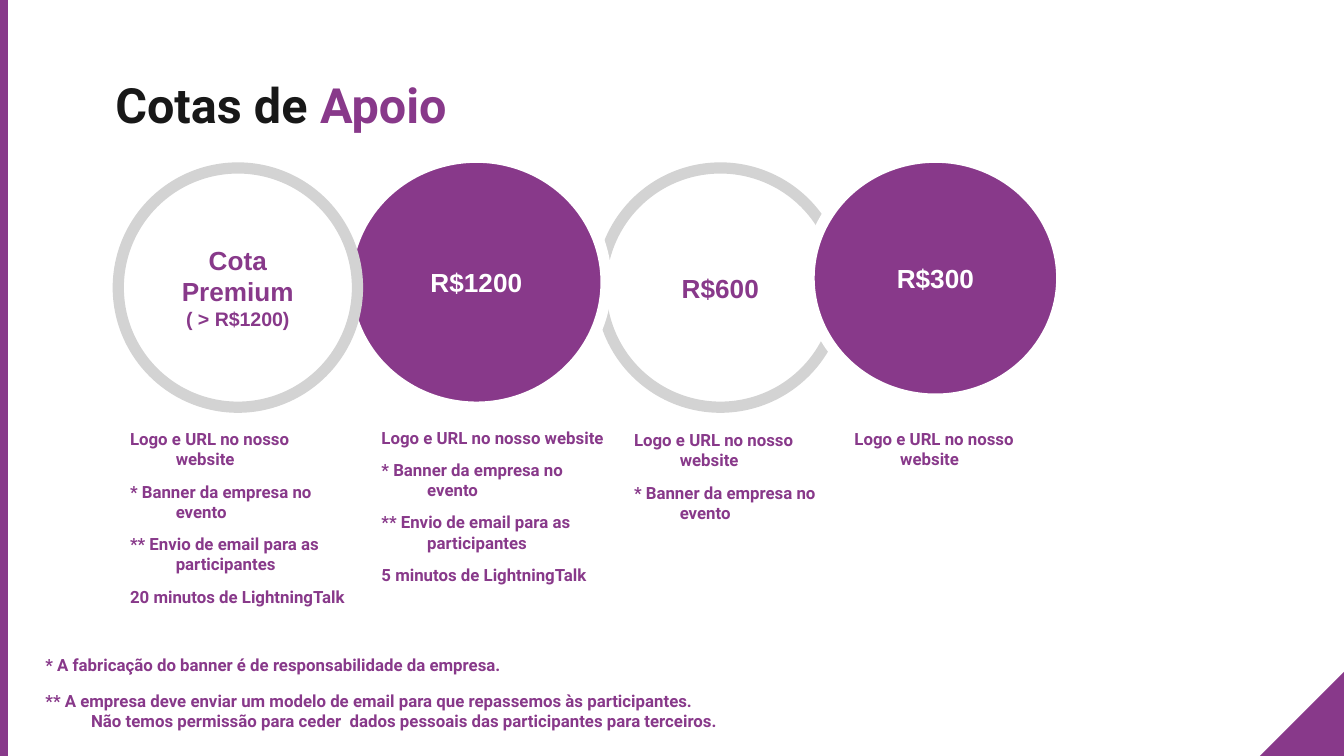
from pptx import Presentation
from pptx.dml.color import RGBColor
from pptx.enum.shapes import MSO_SHAPE
from pptx.enum.text import MSO_ANCHOR, PP_ALIGN
from pptx.util import Inches, Pt

COLORS = {"purple": "88398A", "ink": "181818", "ring": "D3D3D3", "white": "FFFFFF"}

SLIDE_WIDTH = 10
SLIDE_HEIGHT = SLIDE_WIDTH * 9 / 16
CORNER_SIDE = SLIDE_HEIGHT - 5

TITLE = [("Cotas de ", "ink"), ("Apoio", "purple")]

CIRCLES = [
    ((4.47, 1.25, 1.78, 1.78), "light", [("R$600", 14)]),
    ((2.58, 1.17, 1.93, 1.86), "dark", [("R$1200", 14)]),
    ((6.02, 1.17, 1.88, 1.80), "dark", [("R$300", 14)]),
    ((0.88, 1.25, 1.78, 1.78), "light", [("Cota Premium", 14), ("( > R$1200)", 10.5)]),
]
CIRCLE_STYLES = {"light": ("white", "ring", "purple"), "dark": ("purple", "white", "white")}

SHARED_BENEFITS = [
    "Logo e URL no nosso website",
    "* Banner da empresa no evento",
    "** Envio de email para as participantes",
]
BENEFITS = [
    ((0.86, 3.14, 1.83, 1.61), SHARED_BENEFITS + ["20 minutos de LightningTalk"]),
    ((4.61, 3.15, 1.56, 0.81), SHARED_BENEFITS[:2]),
    ((6.25, 3.14, 1.56, 0.40), SHARED_BENEFITS[:1]),
    ((2.73, 3.13, 1.95, 1.46), SHARED_BENEFITS + ["5 minutos de LightningTalk"]),
]
FOOTNOTES = [
    "* A fabricação do banner é de responsabilidade da empresa.",
    "** A empresa deve enviar um modelo de email para que repassemos às participantes. \n"
    "Não temos permissão para ceder  dados pessoais das participantes para terceiros.",
]


def color(name):
    return RGBColor.from_string(COLORS[name])


def add_run(paragraph, text, size, font, tone):
    run = paragraph.add_run()
    run.text = text
    run.font.size = Pt(size)
    run.font.name = font
    run.font.bold = True
    run.font.color.rgb = color(tone)


def add_filled(slide, preset, box, fill, outline=None):
    shape = slide.shapes.add_shape(preset, *map(Inches, box))
    shape.shadow.inherit = False
    shape.fill.solid()
    shape.fill.fore_color.rgb = color(fill)
    if outline:
        shape.line.color.rgb = color(outline)
        shape.line.width = Pt(6)
    else:
        shape.line.fill.background()
    return shape


def set_insets(frame):
    frame.margin_left = frame.margin_right = Inches(0.1)
    frame.margin_top = frame.margin_bottom = Inches(0.1)


def add_circle(slide, box, style, lines):
    fill, outline, tone = CIRCLE_STYLES[style]
    frame = add_filled(slide, MSO_SHAPE.OVAL, box, fill, outline).text_frame
    set_insets(frame)
    frame.word_wrap = True
    frame.vertical_anchor = MSO_ANCHOR.MIDDLE
    label = frame.paragraphs[0]
    label.alignment = PP_ALIGN.CENTER
    for i, (text, size) in enumerate(lines):
        if i:
            label.add_line_break()
        add_run(label, text, size, "Arial", tone)


def add_notes(slide, box, notes, gap):
    frame = slide.shapes.add_textbox(*map(Inches, box)).text_frame
    frame.word_wrap = True
    for i, note in enumerate(notes):
        paragraph = frame.add_paragraph() if i else frame.paragraphs[0]
        paragraph.space_before = Pt(gap)
        properties = paragraph._p.get_or_add_pPr()
        properties.set("marL", str(Inches(0.35)))
        properties.set("indent", str(Inches(-0.34)))
        for j, line in enumerate(note.split("\n")):
            if j:
                paragraph.add_line_break()
            add_run(paragraph, line, 9, "Roboto", "purple")


def main():
    deck = Presentation()
    deck.slide_width, deck.slide_height = Inches(SLIDE_WIDTH), Inches(SLIDE_HEIGHT)
    slide = deck.slides.add_slide(deck.slide_layouts[6])

    corner_box = (SLIDE_WIDTH - CORNER_SIDE, 5, CORNER_SIDE, CORNER_SIDE)
    corner = add_filled(slide, MSO_SHAPE.RIGHT_TRIANGLE, corner_box, "purple")
    corner._element.spPr.get_or_add_xfrm().set("flipH", "1")
    add_filled(slide, MSO_SHAPE.RECTANGLE, (0, 0, 0.06, SLIDE_HEIGHT), "purple")

    title = slide.shapes.add_textbox(*map(Inches, (0.76, 0.46, 4.87, 0.94))).text_frame
    set_insets(title)
    title.word_wrap = True
    for text, tone in TITLE:
        add_run(title.paragraphs[0], text, 26, "Roboto", tone)

    for box, style, lines in CIRCLES:
        add_circle(slide, box, style, lines)
    for box, notes in BENEFITS:
        add_notes(slide, box, notes, 6.5)
    add_notes(slide, (0.23, 4.82, 7.97, 0.96), FOOTNOTES, 8.5)

    deck.save("out.pptx")


if __name__ == "__main__":
    main()
